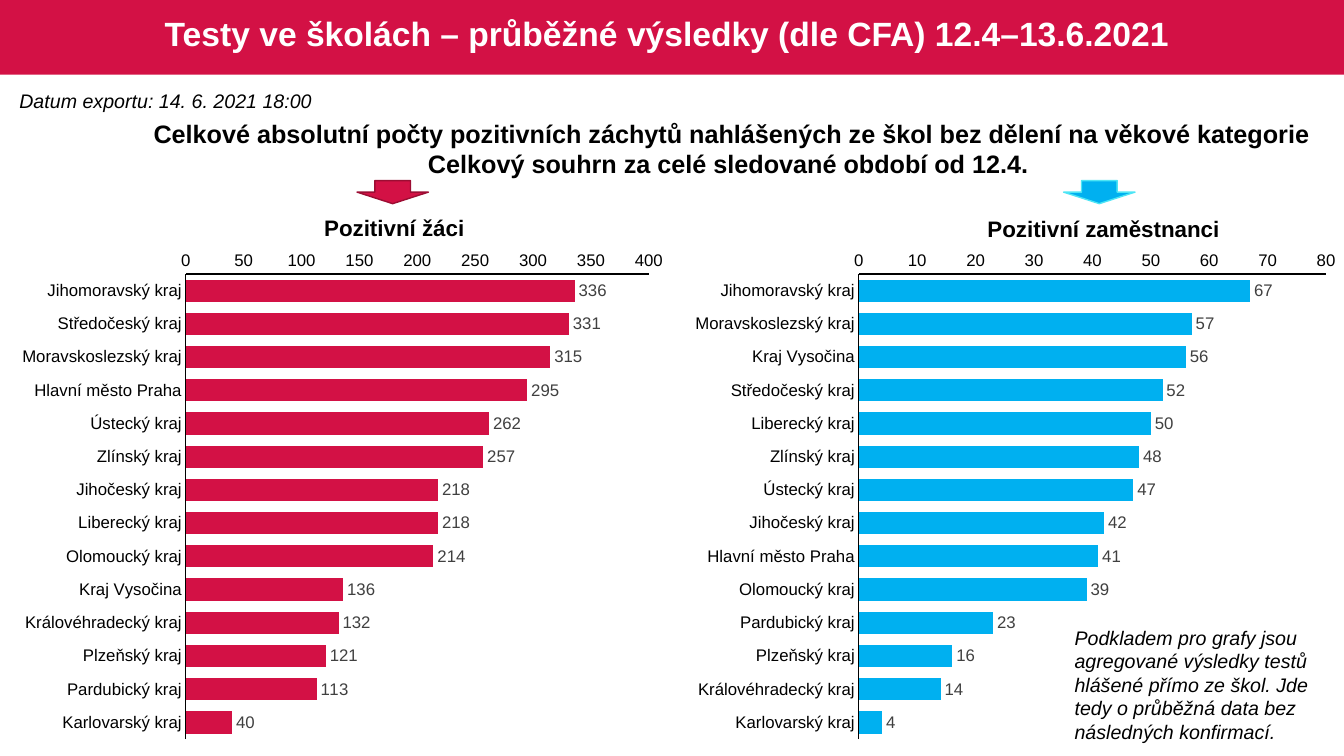
from lxml.etree import SubElement
from pptx import Presentation
from pptx.chart.data import CategoryChartData
from pptx.dml.color import RGBColor
from pptx.enum.chart import XL_CHART_TYPE, XL_LABEL_POSITION, XL_TICK_MARK
from pptx.enum.shapes import MSO_SHAPE
from pptx.enum.text import MSO_ANCHOR, MSO_AUTO_SIZE, PP_ALIGN
from pptx.oxml.ns import qn
from pptx.util import Emu, Pt

PX = 9525
RED = "D31145"
BLUE = "00B0F0"
BLACK = "000000"
CHART_W, CHART_H = 635, 483

PUPILS = [
    ("Jihomoravský kraj", 336), ("Středočeský kraj", 331),
    ("Moravskoslezský kraj", 315), ("Hlavní město Praha", 295),
    ("Ústecký kraj", 262), ("Zlínský kraj", 257),
    ("Jihočeský kraj", 218), ("Liberecký kraj", 218),
    ("Olomoucký kraj", 214), ("Kraj Vysočina", 136),
    ("Královéhradecký kraj", 132), ("Plzeňský kraj", 121),
    ("Pardubický kraj", 113), ("Karlovarský kraj", 40),
]
STAFF = [
    ("Jihomoravský kraj", 67), ("Moravskoslezský kraj", 57),
    ("Kraj Vysočina", 56), ("Středočeský kraj", 52),
    ("Liberecký kraj", 50), ("Zlínský kraj", 48),
    ("Ústecký kraj", 47), ("Jihočeský kraj", 42),
    ("Hlavní město Praha", 41), ("Olomoucký kraj", 39),
    ("Pardubický kraj", 23), ("Plzeňský kraj", 16),
    ("Královéhradecký kraj", 14), ("Karlovarský kraj", 4),
]


def px(*values):
    return [Emu(v * PX) for v in values]


def rgb(value):
    return RGBColor.from_string(value)


def set_font(font, size, color=BLACK, bold=False, italic=False):
    font.name = "Arial"
    font.size = Pt(size)
    font.bold = bold
    font.italic = italic
    font.color.rgb = rgb(color)


def add_block(s, kind, box, fill, line=None):
    sp = s.shapes.add_shape(kind, *px(*box))
    sp.shadow.inherit = False
    sp.fill.solid()
    sp.fill.fore_color.rgb = rgb(fill)
    if line:
        sp.line.color.rgb = rgb(line)
        sp.line.width = Pt(1)
    else:
        sp.line.fill.background()
    return sp


def add_title(s, text):
    title = s.shapes.title
    title.left, title.top, title.width, title.height = px(17, 4, 1245, 60)
    tf = title.text_frame
    tf.text = text
    tf.vertical_anchor = MSO_ANCHOR.MIDDLE
    p = tf.paragraphs[0]
    p.alignment = PP_ALIGN.CENTER
    p.line_spacing = 0.9
    set_font(p.font, 24, "FFFFFF", bold=True)
    band = add_block(s, MSO_SHAPE.RECTANGLE, (0, 0, 1280, 71), RED)
    title.element.addprevious(band.element)


def add_text(s, box, lines, size, align=PP_ALIGN.LEFT, wrap=False, **style):
    tf = s.shapes.add_textbox(*px(*box)).text_frame
    tf.word_wrap = wrap
    tf.auto_size = MSO_AUTO_SIZE.SHAPE_TO_FIT_TEXT
    tf.text = "\n".join(lines)
    for p in tf.paragraphs:
        p.alignment = align
        set_font(p.font, size, **style)


def place_plot(chart, left, top, width, height):
    plot_area = chart.plots[0]._element.getparent()
    layout = plot_area.find(qn("c:layout"))
    if layout is None:
        layout = plot_area.makeelement(qn("c:layout"))
        plot_area.insert(0, layout)
    manual = SubElement(layout, qn("c:manualLayout"))
    settings = [
        ("layoutTarget", "inner"), ("xMode", "edge"), ("yMode", "edge"),
        ("x", left / CHART_W), ("y", top / CHART_H),
        ("w", width / CHART_W), ("h", height / CHART_H),
    ]
    for tag, value in settings:
        SubElement(manual, qn(f"c:{tag}")).set("val", str(value))


def add_bars(s, left, counts, color, maximum, step, plot_width):
    data = CategoryChartData()
    data.categories = [region for region, _ in counts]
    data.add_series("Series 1", [count for _, count in counts])
    frame = s.shapes.add_chart(
        XL_CHART_TYPE.BAR_CLUSTERED, *px(left, 231, CHART_W, CHART_H), data)
    chart = frame.chart
    set_font(chart.font, 10)
    chart.has_legend = False
    chart.has_title = False
    for axis in (chart.category_axis, chart.value_axis):
        axis.has_major_gridlines = False
        axis.major_tick_mark = XL_TICK_MARK.NONE
        axis.minor_tick_mark = XL_TICK_MARK.NONE
        axis.format.line.color.rgb = rgb(BLACK)
        axis.format.line.width = Pt(0.75)
        set_font(axis.tick_labels.font, 12)
    chart.category_axis.reverse_order = True
    chart.value_axis.minimum_scale = 0
    chart.value_axis.maximum_scale = maximum
    chart.value_axis.major_unit = step
    plot = chart.plots[0]
    plot.gap_width = 50
    plot.vary_by_categories = False
    series = plot.series[0]
    series.format.fill.solid()
    series.format.fill.fore_color.rgb = rgb(color)
    labels = series.data_labels
    labels.show_value = True
    labels.position = XL_LABEL_POSITION.OUTSIDE_END
    set_font(labels.font, 12, "404040")
    place_plot(chart, 168, 30, plot_width, 443)


def main():
    prs = Presentation()
    prs.slide_width, prs.slide_height = px(1280, 720)
    s = prs.slides.add_slide(prs.slide_layouts[5])
    add_title(s, "Testy ve školách – průběžné výsledky (dle CFA) 12.4–13.6.2021 ")
    add_bars(s, 9, PUPILS, RED, 400, 50, 441)
    add_text(s, (298, 199, 155, 36), ["Pozitivní žáci"], 16,
             PP_ALIGN.CENTER, bold=True)
    add_bars(s, 650, STAFF, BLUE, 80, 10, 445)
    add_text(s, (929, 200, 244, 36), ["Pozitivní zaměstnanci"], 16,
             PP_ALIGN.CENTER, bold=True)
    add_text(s, (9, 80, 300, 33), ["Datum exportu: 14. 6. 2021 18:00"], 14,
             italic=True)
    add_text(s, (131, 108, 1132, 68), [
        "Celkové absolutní počty pozitivních záchytů nahlášených ze škol "
        "bez dělení na věkové kategorie",
        "Celkový souhrn za celé sledované období od 12.4. ",
    ], 18, PP_ALIGN.CENTER, bold=True)
    add_block(s, MSO_SHAPE.DOWN_ARROW, (340, 172, 68, 22), RED, "9C0D33")
    add_block(s, MSO_SHAPE.DOWN_ARROW, (1013, 172, 68, 22), BLUE, "4DE5F5")
    add_text(s, (1014, 591, 279, 123), [
        "Podkladem pro grafy jsou agregované výsledky testů hlášené přímo "
        "ze škol. Jde tedy o průběžná data bez následných konfirmací.",
    ], 14, wrap=True, italic=True)
    prs.save("out.pptx")


if __name__ == "__main__":
    main()
